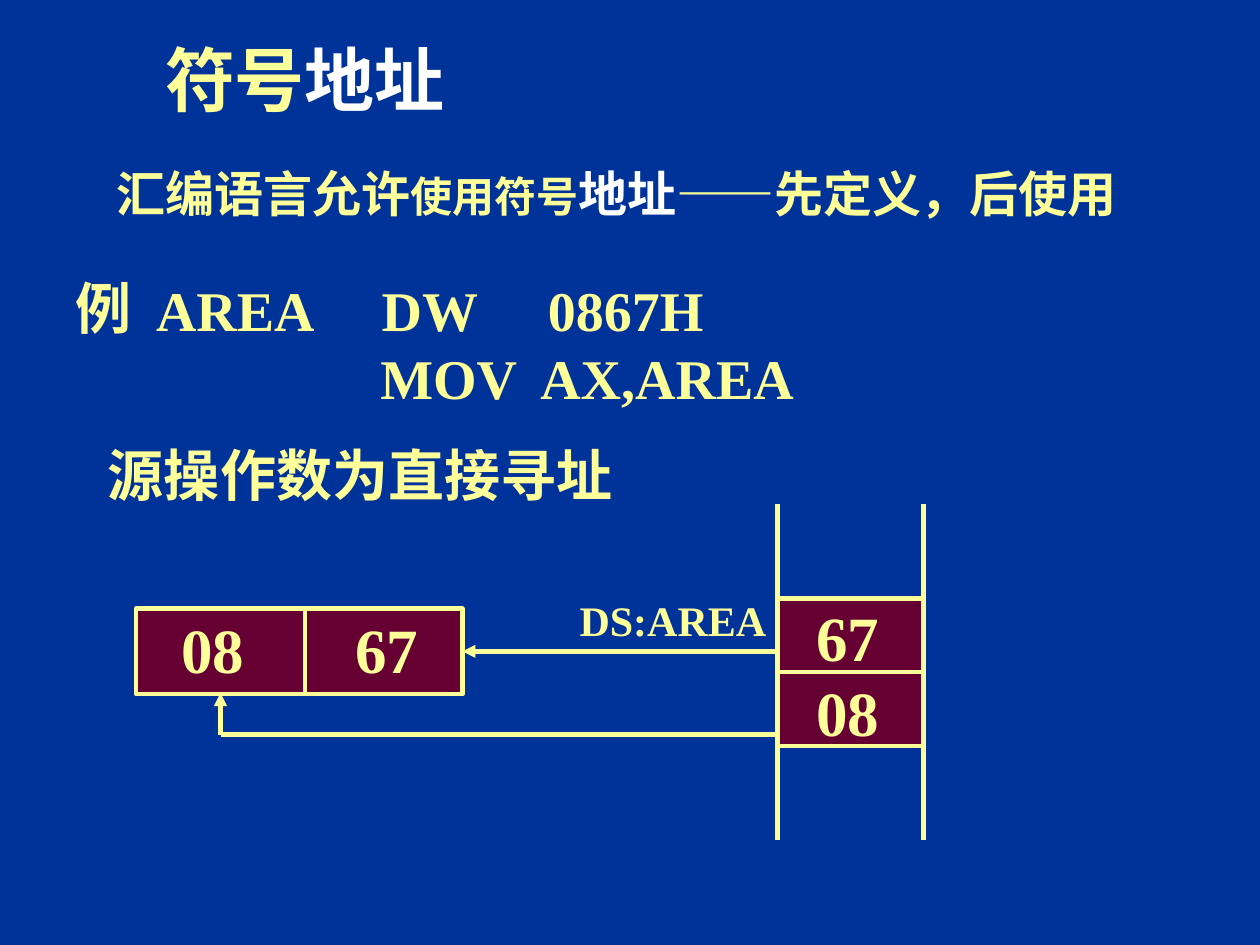
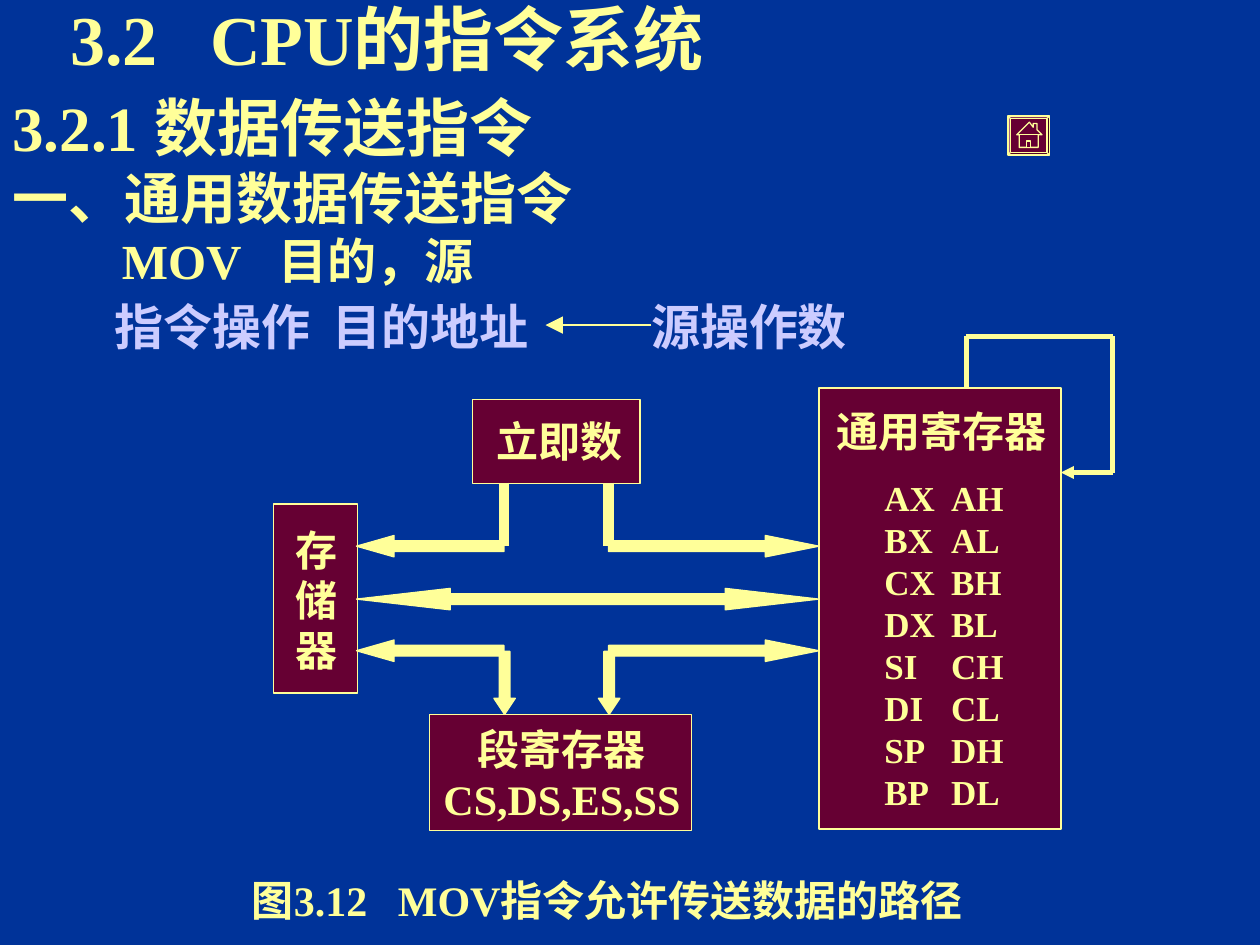
from lxml import etree
from pptx import Presentation
from pptx import util as u
from pptx.dml.color import RGBColor
from pptx.enum import shapes as sh, text as tx
from pptx.oxml import ns

NAVY, WINE, CREAM = "003399", "660033", "FFFF99"
WHITE, LILAC = "FFFFFF", "CCCCFF"
SERIF, SANS = "Times New Roman", "Noto Sans CJK SC"
KIND = sh.MSO_SHAPE


def hue(code):
    return RGBColor.from_string(code)


def inch(*nums):
    return [u.Inches(n) for n in nums]


def sub(node, tag, **attrs):
    return etree.SubElement(node, ns.qn(tag), attrs)


def page(deck):
    slide = deck.slides.add_slide(deck.slide_layouts[6])
    slide.background.fill.solid()
    slide.background.fill.fore_color.rgb = hue(NAVY)
    return slide


def paint(shape, fill, width):
    shape.shadow.inherit = False
    shape.fill.solid()
    shape.fill.fore_color.rgb = hue(fill)
    shape.line.color.rgb = hue(CREAM)
    shape.line.width = u.Pt(width)
    return shape


def form(slide, kind, area, fill=WINE, width=0.75, adj=()):
    shape = slide.shapes.add_shape(kind, *inch(*area))
    for i, value in enumerate(adj):
        shape.adjustments[i] = value
    return paint(shape, fill, width)


def arrow(slide, kind, area, head):
    return form(slide, kind, area, CREAM, adj=(0.5, head))


def line(slide, start, end, width=2.5, tip=None):
    wire = slide.shapes.add_connector(sh.MSO_CONNECTOR.STRAIGHT, *inch(*start, *end))
    wire.line.color.rgb = hue(CREAM)
    wire.line.width = u.Pt(width)
    if tip:
        sub(wire.line._ln, "a:tailEnd", type="triangle", w=tip, len=tip)
    sub(wire._element.spPr, "a:effectLst")
    return wire


def fill_para(para, runs, size, tabs, face, left):
    para.alignment = tx.PP_ALIGN.LEFT if left else tx.PP_ALIGN.CENTER
    if tabs:
        stops = sub(para._p.get_or_add_pPr(), "a:tabLst")
        for stop in tabs:
            sub(stops, "a:tab", pos=str(u.Inches(stop)), algn="l")
    font = para.font
    font.size, font.bold, font.name = u.Pt(size), True, face
    font.color.rgb = hue(CREAM)
    sub(font._element, "a:ea", typeface=SANS)
    for words, point, tone in [(runs, None, None)] if isinstance(runs, str) else runs:
        run = para.add_run()
        run.text = words
        if point:
            run.font.size = u.Pt(point)
        if tone:
            run.font.color.rgb = hue(tone)


def label(slide, area, rows, size=24, tabs=(), face=SERIF, left=False, middle=False):
    frame = slide.shapes.add_textbox(*inch(*area)).text_frame
    frame.word_wrap = left
    if middle:
        frame.vertical_anchor = tx.MSO_ANCHOR.MIDDLE
    for i, row in enumerate(rows):
        para = frame.add_paragraph() if i else frame.paragraphs[0]
        spec = {"runs": row, "size": size, "tabs": tabs, "face": face, "left": left}
        if isinstance(row, dict):
            spec.update(row)
        fill_para(para, **spec)


def title(slide, area, runs, **more):
    label(slide, area, [runs], 40, middle=True, **more)


def stack(slide):
    left, right = 6.17, 7.33
    cells = form(slide, KIND.RECTANGLE, (left, 4.75, 1.16, 1.17), width=2.5)
    label(slide, (6.38, 4.7, 0.7, 1.3), ["67", "08"], 36)
    split = line(slide, (left, 5.33), (right, 5.33))
    split.begin_connect(cells, 1)
    split.end_connect(cells, 3)
    for x in (left, right):
        for top, end in ((4, 4.75), (5.92, 6.67)):
            line(slide, (x, top), (x, end))


def symbol(deck):
    slide = page(deck)
    title(slide, (0.42, 0, 4, 1.25), [("符号", None, None), ("地址", None, WHITE)])
    label(slide, (0.83, 1.25, 8.26, 0.83), [[
        ("汇编语言允许", None, None), ("使用符号", 24, None),
        ("地址", None, WHITE), ("——先定义，后使用", None, None)]], 28, left=True)
    label(slide, (0.5, 2.12, 0.64, 0.64), ["例"], 32)
    label(slide, (1.14, 2.14, 5.3, 1.17), [
        {"runs": "AREA\tDW\t0867H", "tabs": (1.79, 3.11)},
        {"runs": "\tMOV\tAX,AREA", "tabs": (1.78, 3.05)}], 32, left=True)
    label(slide, (0.66, 3.45, 4.4, 0.64), ["源操作数为直接寻址"], 32)
    stack(slide)
    word = form(slide, KIND.RECTANGLE, (1.08, 4.83, 2.59, 0.68), width=2.5)
    label(slide, (1.34, 4.8, 2.2, 0.7), ["08\t67"], 36, (1.38,), left=True)
    line(slide, (2.42, 5.5), (2.42, 4.83))
    label(slide, (4.33, 4.67, 2.02, 0.5), ["DS:AREA"])
    line(slide, (6.17, 5.17), (3.67, 5.17), tip="med").end_connect(word, 3)
    line(slide, (6.17, 5.83), (1.75, 5.83))
    line(slide, (1.75, 5.83), (1.75, 5.5), tip="med")


def house(slide):
    form(slide, KIND.BEVEL, (8, 0.92, 0.33, 0.31), adj=(0.06,))
    roof = [(8.17, 0.97), (8.2, 1.01), (8.2, 0.98), (8.23, 0.98), (8.23, 1.03),
            (8.27, 1.07), (8.24, 1.07), (8.24, 1.17), (8.09, 1.17),
            (8.09, 1.07), (8.07, 1.07)]
    eaves = [(8.09, 1.07), (8.24, 1.07)]
    door = [(8.15, 1.17), (8.15, 1.12), (8.18, 1.12), (8.18, 1.17)]
    for points, close in ((roof, True), (eaves, False), (door, True)):
        spots = [inch(*point) for point in points]
        pen = slide.shapes.build_freeform(*spots[0])
        pen.add_line_segments(spots[1:], close=close)
        paint(pen.convert_to_shape(), WINE, 0.75)


def paths(slide):
    arrow(slide, KIND.LEFT_RIGHT_ARROW, (2.83, 4.67, 3.67, 0.17), 4.37)
    for y in (4.25, 5.08):
        arrow(slide, KIND.LEFT_ARROW, (2.83, y, 1.17, 0.17), 1.75)
        arrow(slide, KIND.RIGHT_ARROW, (4.83, y, 1.67, 0.17), 2.5)
    for x in (4, 4.83):
        line(slide, (x, 3.83), (x, 4.33), 6)
        arrow(slide, KIND.DOWN_ARROW, (x - 0.08, 5.17, 0.17, 0.5), 0.75)
    loop = [(7.67, 3.08), (7.67, 2.67), (8.83, 2.67), (8.83, 3.75), (8.42, 3.75)]
    for start, end in zip(loop, loop[1:]):
        line(slide, start, end, tip="med" if end == loop[-1] else None)


def moves(deck):
    slide = page(deck)
    title(slide, (0, -0.33, 6.25, 1.25), "\t3.2\tCPU的指令系统",
          tabs=(0.46, 1.57), left=True)
    label(slide, (0, 0.65, 10, 2.24), [
        {"runs": "3.2.1 数据传送指令", "size": 36},
        "一、通用数据传送指令",
        {"runs": "\tMOV\t目的，源", "size": 28, "tabs": (0.87, 2.11)},
        {"runs": [("\t", None, None), ("指令操作\t目的地址\t源操作数", 28, LILAC)],
         "tabs": (0.81, 2.54, 5.07)}], 32, left=True)
    line(slide, (5.17, 2.58), (4.33, 2.58), 1.5, "lg")
    for area in ((2.17, 4, 0.67, 1.5), (3.41, 5.67, 2.08, 0.92),
                 (3.75, 3.17, 1.33, 0.67), (6.5, 3.08, 1.92, 3.5)):
        form(slide, KIND.RECTANGLE, area)
    label(slide, (3.79, 3.25, 1.3, 0.5), ["立即数"], face=SANS)
    label(slide, (3.42, 5.69, 2.08, 0.9),
          [{"runs": "段寄存器", "face": SANS}, "CS,DS,ES,SS"])
    label(slide, (2.25, 4.11, 0.53, 1.3), list("存储器"), face=SANS)
    label(slide, (6.44, 3.17, 2.06, 0.5), ["通用寄存器"])
    pairs = zip("AX BX CX DX SI DI SP BP".split(), "AH AL BH BL CH CL DH DL".split())
    label(slide, (6.92, 3.73, 1.3, 2.77), ["\t".join(pair) for pair in pairs],
          20, (0.53,), left=True)
    paths(slide)
    house(slide)
    label(slide, (1.9, 6.89, 6.2, 0.5), ["图3.12\tMOV指令允许传送数据的路径"],
          tabs=(1.16,), left=True)


def main():
    deck = Presentation()
    deck.slide_width, deck.slide_height = inch(10, 7.5)
    symbol(deck)
    moves(deck)
    deck.save("out.pptx")


if __name__ == "__main__":
    main()
